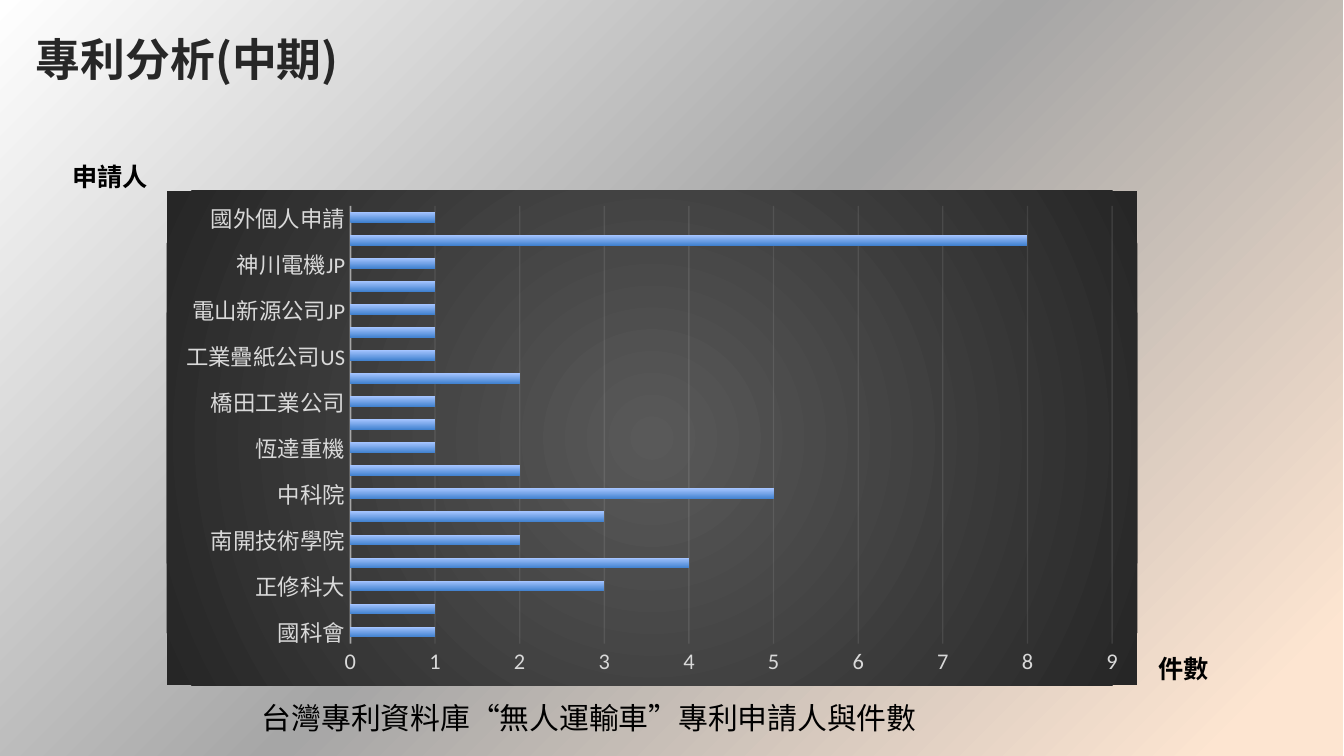
import dataclasses

import pptx
import pptx.chart.data
import pptx.dml.color
import pptx.enum.chart
import pptx.enum.shapes
import pptx.enum.text
import pptx.oxml
import pptx.oxml.ns
import pptx.util

Pt = pptx.util.Pt
RGB = pptx.dml.color.RGBColor.from_string
NS = pptx.oxml.ns.nsdecls("a", "c")

APPLICANTS = [
    ("國科會", 1), ("", 1), ("正修科大", 3), ("", 4),
    ("南開技術學院", 2), ("", 3), ("中科院", 5), ("", 2),
    ("恆達重機", 1), ("", 1), ("橋田工業公司", 1), ("", 2),
    ("工業疊紙公司US", 1), ("", 1), ("電山新源公司JP", 1), ("", 1),
    ("神川電機JP", 1), ("", 8), ("國外個人申請", 1),
]


@dataclasses.dataclass(frozen=True)
class Theme:
    heading: str = "272727"
    ink: str = "000000"
    axis_text: str = "D9D9D9"
    axis_line: str = "F2F2F2"
    backdrop: tuple = ((0, "FFFFFF"), (49, "A6A6A6"), (94, "FDE5D1"))
    panel: tuple = ((0, "595959"), (100, "262626"))
    bars: tuple = ((0, "3F80CE"), (100, "A4C4FF"))
    text_font: str = "Noto Sans CJK SC"
    chart_font: str = "Calibri"
    title_size: float = 24
    caption_size: float = 16
    label_size: float = 13.5
    axis_size: float = 12
    chart_size: float = 10


def gradient(stops, angle=None):
    colours = "".join(
        f'<a:gs pos="{position * 1000}"><a:srgbClr val="{colour}"/></a:gs>'
        for position, colour in stops)
    if angle is None:
        course = ('<a:path path="circle"><a:fillToRect l="50000" t="50000" '
                  'r="50000" b="50000"/></a:path>')
    else:
        course = f'<a:lin ang="{angle * 60000}" scaled="0"/>'
    return pptx.oxml.parse_xml(
        f'<a:gradFill {NS} rotWithShape="1"><a:gsLst>{colours}</a:gsLst>{course}</a:gradFill>')


def fill_gradient(properties, stops, angle=None):
    blank = properties.find(pptx.oxml.ns.qn("a:noFill"))
    properties.replace(blank, gradient(stops, angle))


def set_line(line, colour, width, owner, location, opacity):
    line.color.rgb = RGB(colour)
    line.width = Pt(width)
    for tint in owner.xpath(f"{location}//a:srgbClr"):
        tint.append(pptx.oxml.parse_xml(f'<a:alpha {NS} val="{opacity * 1000}"/>'))


def write(frame, text, *, font, size, colour, bold=False, spacing=None):
    paragraph = frame.paragraphs[0]
    if spacing:
        paragraph.line_spacing = spacing
    run = paragraph.add_run()
    run.text = text
    run.font.name = font
    run.font.size = Pt(size)
    run.font.bold = bold
    run.font.color.rgb = RGB(colour)
    run.font._element.find(pptx.oxml.ns.qn("a:latin")).addnext(
        pptx.oxml.parse_xml(f'<a:ea {NS} typeface="{font}"/>'))


class SlideBuilder:
    """Holds the theme and current slide, and adds each kind of element."""

    def __init__(self, slide, theme):
        self.slide = slide
        self.theme = theme

    def backdrop(self, box):
        panel = self.slide.shapes.add_shape(
            pptx.enum.shapes.MSO_SHAPE.RECTANGLE, *map(Pt, box))
        panel.shadow.inherit = False
        panel.line.fill.background()
        panel.fill.background()
        fill_gradient(panel._element.spPr, self.theme.backdrop, 45)

    def text(self, box, wording, *, wrap=False, **style):
        frame = self.slide.shapes.add_textbox(*map(Pt, box)).text_frame
        frame.word_wrap = wrap
        frame.auto_size = pptx.enum.text.MSO_AUTO_SIZE.SHAPE_TO_FIT_TEXT
        write(frame, wording, font=self.theme.text_font, **style)

    def bar_chart(self, box, records):
        theme = self.theme
        counts = pptx.chart.data.CategoryChartData()
        counts.categories = [name for name, _ in records]
        counts.add_series("Series 1", [count for _, count in records])
        chart = self.slide.shapes.add_chart(
            pptx.enum.chart.XL_CHART_TYPE.BAR_CLUSTERED, *map(Pt, box), counts).chart
        chart.has_legend = False
        chart.has_title = False
        chart.font.name = theme.chart_font
        chart.font.size = Pt(theme.chart_size)
        chart.font.color.rgb = RGB(theme.ink)
        area = pptx.oxml.parse_xml(
            f"<c:spPr {NS}><a:noFill/><a:ln><a:noFill/></a:ln></c:spPr>")
        chart._chartSpace.find(pptx.oxml.ns.qn("c:txPr")).addprevious(area)
        fill_gradient(area, theme.panel)

        plot = chart.plots[0]
        plot.vary_by_categories = False
        plot.gap_width = 115
        plot.overlap = -20
        bars = plot.series[0]
        bars.invert_if_negative = False
        bars.format.fill.background()
        fill_gradient(bars._element.find(pptx.oxml.ns.qn("c:spPr")), theme.bars, 270)

        applicants, cases = chart.category_axis, chart.value_axis
        for axis in (applicants, cases):
            axis.major_tick_mark = pptx.enum.chart.XL_TICK_MARK.NONE
            axis.minor_tick_mark = pptx.enum.chart.XL_TICK_MARK.NONE
            axis.tick_labels.font.name = theme.chart_font
            axis.tick_labels.font.size = Pt(theme.axis_size)
            axis.tick_labels.font.color.rgb = RGB(theme.axis_text)
        set_line(applicants.format.line, theme.axis_line, 1,
                 applicants._element, "c:spPr", 54)
        cases.minimum_scale, cases.maximum_scale, cases.major_unit = 0, 9, 1
        cases.format.line.fill.background()
        cases.has_major_gridlines = True
        set_line(cases.major_gridlines.format.line, theme.axis_line, 0.75,
                 cases._element, "c:majorGridlines", 10)


def main():
    deck = pptx.Presentation()
    deck.slide_width, deck.slide_height = Pt(720), Pt(405)
    theme = Theme()
    page = SlideBuilder(deck.slides.add_slide(deck.slide_layouts[6]), theme)
    page.backdrop((-0.5, 0, 720, 405))
    page.bar_chart((89.3, 102.2, 520, 265), APPLICANTS)
    page.text((133.2, 371.5, 370, 26.6), "台灣專利資料庫“無人運輸車”專利申請人與件數",
              size=theme.caption_size, colour=theme.ink)
    for box, axis_name in (((613.4, 346.3, 41.8, 23.8), "件數"),
                           ((31.7, 82.8, 55.4, 23.8), "申請人")):
        page.text(box, axis_name, size=theme.label_size, colour=theme.ink, bold=True)
    page.text((12.2, 7.9, 687, 42.5), "專利分析(中期)", wrap=True,
              size=theme.title_size, colour=theme.heading, bold=True, spacing=1.2)
    deck.save("out.pptx")


if __name__ == "__main__":
    main()
